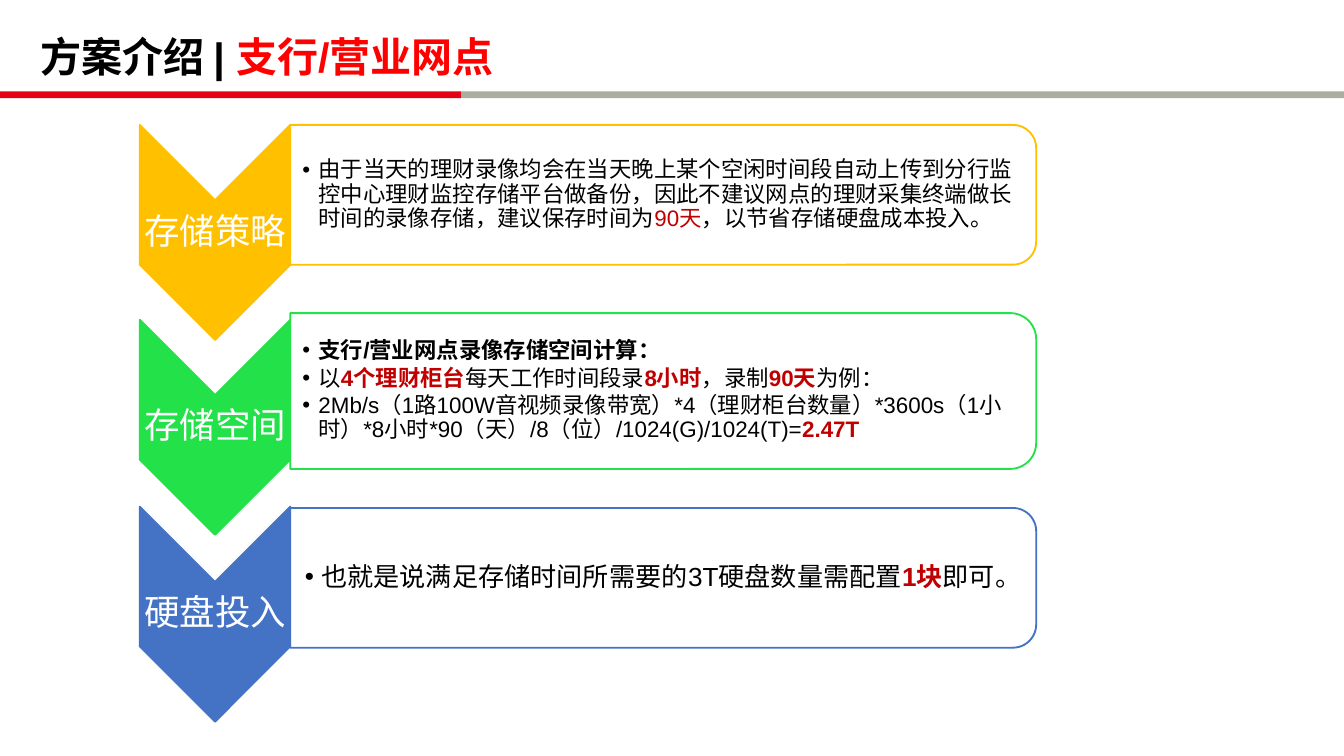
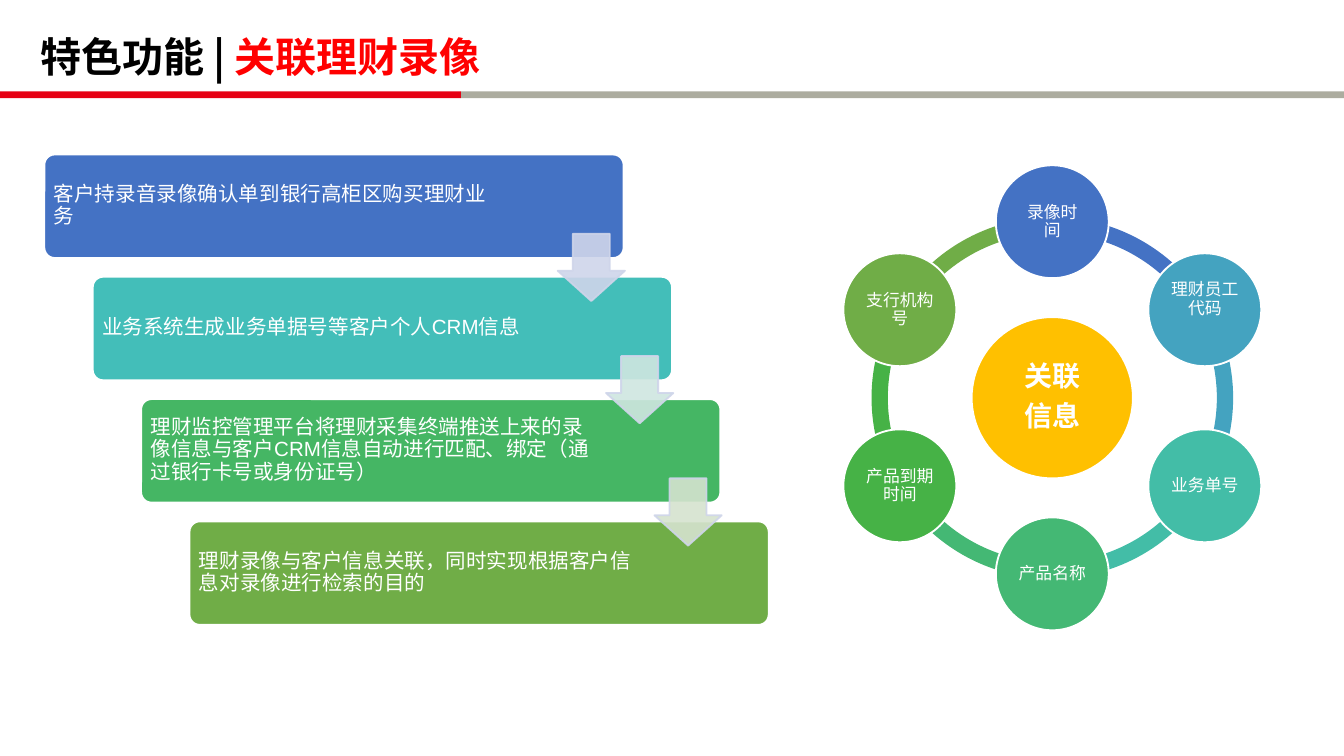
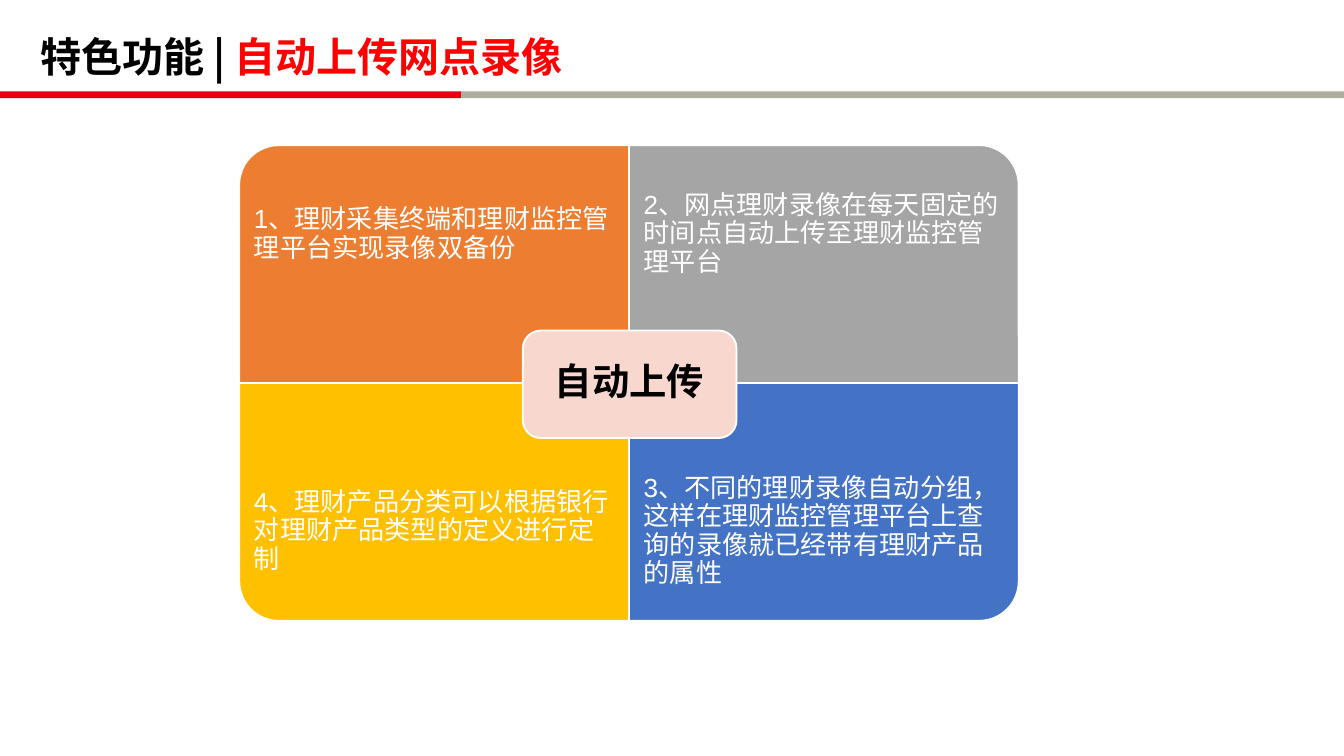
import copy
import math

import pptx
import pptx.dml.color
import pptx.enum.shapes
import pptx.enum.text
import pptx.oxml.ns
import pptx.util
from lxml import etree
from pptx.util import Inches

COLORS = {
    "white": "FFFFFF", "black": "000000", "red": "FF0000", "dark_red": "C00000",
    "band_red": "E60013", "band_gray": "ACAC9F", "gold": "FFC000",
    "bright_green": "23E148", "blue": "4472C4", "turquoise": "43BEB9",
    "green": "45B664", "olive": "70AD47", "pale_blue": "CFD5EA",
    "pale_teal": "CFE6E0", "pale_olive": "D5E3CF", "sky": "44A3C0",
    "teal": "43BDA7", "mint": "44B874", "leaf": "46B246",
    "orange": "ED7D31", "gray": "A5A5A5", "pink": "F8D7CE",
}
LATIN_FONT = "Arial"
CHINESE_FONT = "Noto Sans CJK SC"
SHAPES = pptx.enum.shapes.MSO_SHAPE
ALIGN = pptx.enum.text.PP_ALIGN


def add_element(parent, tag, **attributes):
    return etree.SubElement(parent, pptx.oxml.ns.qn(tag), attributes)


def paint(fill, color, alpha=None):
    fill.solid()
    fill.fore_color.rgb = pptx.dml.color.RGBColor.from_string(COLORS[color])
    if alpha:
        color_element = fill._xPr.find(".//" + pptx.oxml.ns.qn("a:srgbClr"))
        add_element(color_element, "a:alpha", val=str(alpha * 1000))


def write_text(frame, paragraphs, size, color="white", bold=False, font=LATIN_FONT,
               align=ALIGN.LEFT, space_after=0.35, bullet=False):
    for index, runs in enumerate(paragraphs):
        paragraph = frame.paragraphs[0] if index == 0 else frame.add_paragraph()
        paragraph.alignment = align
        paragraph.line_spacing = 0.9
        paragraph.space_after = pptx.util.Pt(size * space_after)
        if bullet:
            properties = paragraph._p.get_or_add_pPr()
            properties.set("marL", str(Inches(0.12)))
            properties.set("indent", str(Inches(-0.12)))
            add_element(properties, "a:buFont", typeface=LATIN_FONT)
            add_element(properties, "a:buChar", char="•")
        for text, run_color, run_bold in runs:
            for number, line in enumerate(text.split("\n")):
                if number:
                    paragraph.add_line_break()
                    paragraph._p[-1].append(copy.deepcopy(run._r.rPr))
                if line:
                    run = paragraph.add_run()
                    run.text = line
                    run.font.size = pptx.util.Pt(size)
                    run.font.bold = bold if run_bold is None else run_bold
                    run.font.name = font
                    paint(run.font.fill, run_color or color)
                    add_element(run._r.rPr, "a:ea", typeface=CHINESE_FONT)


def plain(text):
    return text, None, None


def strong(text):
    return text, "dark_red", True


class Deck:
    def __init__(self):
        self.presentation = pptx.Presentation()
        self.presentation.slide_width = Inches(10)
        self.presentation.slide_height = Inches(10 * 9 / 16)
        self.slide = None
        self.shapes = None

    def add_slide(self, section, topic, font=CHINESE_FONT):
        layout = self.presentation.slide_layouts[6]
        self.slide = self.presentation.slides.add_slide(layout)
        self.shapes = self.slide.shapes
        self.shape(SHAPES.RECTANGLE, 3.43, 0.68, 6.57, 0.05, "band_gray")
        self.shape(SHAPES.RECTANGLE, 0, 0.68, 3.43, 0.05, "band_red")
        title = [[plain(section + " | "), (topic, "red", None)]]
        self.text(title, 0.2, 0.19, 8.28, 0.5, (0.1, 0.05), size=22,
                  color="black", bold=True, font=font, space_after=0)

    def start_group(self):
        self.shapes = self.slide.shapes.add_group_shape().shapes

    def shape(self, kind, left, top, width, height, fill, line=None,
              rotation=0, alpha=None, line_alpha=None, adjustments=()):
        if rotation % 180 == 90:
            left += (width - height) / 2
            top += (height - width) / 2
            width, height = height, width
        shape = self.shapes.add_shape(
            kind, Inches(left), Inches(top), Inches(width), Inches(height))
        shape.rotation = rotation
        shape.shadow.inherit = False
        for index, value in enumerate(adjustments):
            shape.adjustments[index] = value
        paint(shape.fill, fill, alpha)
        if line:
            paint(shape.line.fill, line, line_alpha)
            shape.line.width = pptx.util.Pt(1)
        else:
            shape.line.fill.background()

    def text(self, paragraphs, left, top, width, height, inset, **text_format):
        box = self.shapes.add_textbox(
            Inches(left), Inches(top), Inches(width), Inches(height))
        frame = box.text_frame
        frame.word_wrap = True
        frame.vertical_anchor = pptx.enum.text.MSO_ANCHOR.MIDDLE
        frame.margin_left = Inches(inset[0])
        frame.margin_right = Inches(inset[0] if len(inset) == 2 else inset[2])
        frame.margin_top = frame.margin_bottom = Inches(inset[1])
        write_text(frame, paragraphs, **text_format)

    def policy_row(self, label, color, chevron_top, panel_top, panel_height,
                   paragraphs, size, left_inset):
        self.shape(SHAPES.CHEVRON, 1.04, chevron_top, 1.12, 1.6, color, color, rotation=90)
        self.text([[plain(label)]], 1.04, chevron_top + 0.56, 1.12, 0.48,
                  (0.01, 0.01), size=19, align=ALIGN.CENTER)
        self.shape(SHAPES.ROUND_2_SAME_RECTANGLE, 2.16, panel_top, 5.55, panel_height,
                   "white", color, rotation=90, alpha=90)
        self.text(paragraphs, 2.16, panel_top + 0.05, 5.5, panel_height - 0.1,
                  (left_inset, 0.01, 0.01), size=size, color="black",
                  space_after=0.15, bullet=True)

    def circle(self, center_x, center_y, diameter, text_side, color, lines, inset,
               **text_format):
        left, top = center_x - diameter / 2, center_y - diameter / 2
        self.shape(SHAPES.OVAL, left, top, diameter, diameter, color, "white")
        self.text([[plain(line)] for line in lines], center_x - text_side / 2,
                  center_y - text_side / 2, text_side, text_side, (inset, inset),
                  align=ALIGN.CENTER, **text_format)


def build_storage(deck):
    deck.add_slide("方案介绍", "支行/营业网点", LATIN_FONT)
    deck.start_group()
    deck.policy_row("存储策略", "gold", 0.93, 0.93, 1.04, [[
        plain("由于当天的理财录像均会在当天晚上某个空闲时间段自动上传到分行监控中心理财监控"
              "存储平台做备份，因此不建议网点的理财采集终端做长时间的录像存储，建议保存时间为"),
        ("90天", "dark_red", False),
        plain("，以节省存储硬盘成本投入。"),
    ]], 12, 0.09)
    deck.policy_row("存储空间", "bright_green", 2.38, 2.33, 1.16, [
        [("支行/营业网点录像存储空间计算：", None, True)],
        [plain("以"), strong("4个理财柜台"), plain("每天工作时间段录"), strong("8小时"),
         plain("，录制"), strong("90天"), plain("为例：")],
        [plain("2Mb/s（1路100W音视频录像带宽）*4（理财柜台数量）*3600s（1小时）*8小时"
               "*90（天）/8（位）/1024(G)/1024(T)="), strong("2.47T")],
    ], 12, 0.09)
    deck.policy_row("硬盘投入", "blue", 3.77, 3.78, 1.04, [[
        plain("也就是说满足存储时间所需要的3T硬盘数量需配置"),
        strong("1块"), plain("即可。"),
    ]], 14, 0.11)


def build_linking(deck):
    deck.add_slide("特色功能", "关联理财录像")
    deck.start_group()
    steps = [
        ("客户持录音录像确认单到银行高柜区购买理财业务", "blue"),
        ("业务系统生成业务单据号等客户个人CRM信息", "turquoise"),
        ("理财监控管理平台将理财采集终端推送上来的录像信息与客户CRM信息自动进行匹配、"
         "绑定（通过银行卡号或身份证号）", "green"),
        ("理财录像与客户信息关联，同时实现根据客户信息对录像进行检索的目的", "olive"),
    ]
    for index, (text, color) in enumerate(steps):
        left, top = 0.33 + 0.36 * index, 1.15 + 0.91 * index
        deck.shape(SHAPES.ROUNDED_RECTANGLE, left, top, 4.31, 0.77, color, "white",
                   adjustments=(0.1,))
        deck.text([[plain(text)]], left + 0.02, top + 0.02, 3.41, 0.72,
                  (0.05, 0.05), size=11)
    for index, color in enumerate(["pale_blue", "pale_teal", "pale_olive"]):
        deck.shape(SHAPES.DOWN_ARROW, 4.15 + 0.36 * index, 1.74 + 0.91 * index, 0.5, 0.5,
                   color, "pale_blue", alpha=90, line_alpha=90, adjustments=(0.55, 0.45))

    deck.start_group()
    center_x, center_y, radius, ring = 7.83, 2.96, 1.31, 2.69
    nodes = [
        ("录像时\n间", "blue"), ("理财员工代码\n", "sky"), ("业务单号", "teal"),
        ("产品名称", "mint"), ("产品到期时间", "leaf"), ("支行机构号", "olive"),
    ]
    full_turn = 216
    sector = full_turn / len(nodes)
    for index, (label, color) in reversed(list(enumerate(nodes))):
        start = (full_turn * 0.75 + sector * index) % full_turn
        deck.shape(SHAPES.BLOCK_ARC, center_x - ring / 2, center_y - ring / 2, ring, ring,
                   color, adjustments=(start, (start + sector) % full_turn, 0.045))
    deck.circle(center_x, center_y, 1.2, 0.85, "gold", ["关联", "信息"], 0.02,
                size=15, bold=True)
    for index, (label, color) in enumerate(nodes):
        angle = math.tau * index / len(nodes)
        deck.circle(center_x + radius * math.sin(angle), center_y - radius * math.cos(angle),
                    0.84, 0.6, color, [label], 0.01, size=9)


def build_upload(deck):
    deck.add_slide("特色功能", "自动上传网点录像")
    deck.start_group()
    width, height, text_height = 2.9, 1.77, 1.33
    quadrants = [
        (0, 0, 270, "orange", "1、理财采集终端和理财监控管理平台实现录像双备份"),
        (1, 0, 0, "gray", "2、网点理财录像在每天固定的时间点自动上传至理财监控管理平台"),
        (0, 1, 180, "gold", "4、理财产品分类可以根据银行对理财产品类型的定义进行定制"),
        (1, 1, 90, "blue", "3、不同的理财录像自动分组，这样在理财监控管理平台上查询的录像"
                           "就已经带有理财产品的属性"),
    ]
    for column, row, rotation, color, text in quadrants:
        left, top = 1.78 + width * column, 1.08 + height * row
        deck.shape(SHAPES.ROUND_1_RECTANGLE, left, top, width, height, color, "white",
                   rotation=rotation)
        deck.text([[plain(text)]], left, top + (height - text_height) * row,
                  width, text_height, (0.11, 0.11, 0.12), size=14)
    deck.shape(SHAPES.ROUNDED_RECTANGLE, 3.89, 2.46, 1.59, 0.8, "pink", "white")
    deck.text([[plain("自动上传")]], 3.93, 2.49, 1.51, 0.72, (0.08, 0.08), size=20,
              color="black", bold=True, align=ALIGN.CENTER)


def main():
    deck = Deck()
    build_storage(deck)
    build_linking(deck)
    build_upload(deck)
    deck.presentation.save("out.pptx")


if __name__ == "__main__":
    main()
